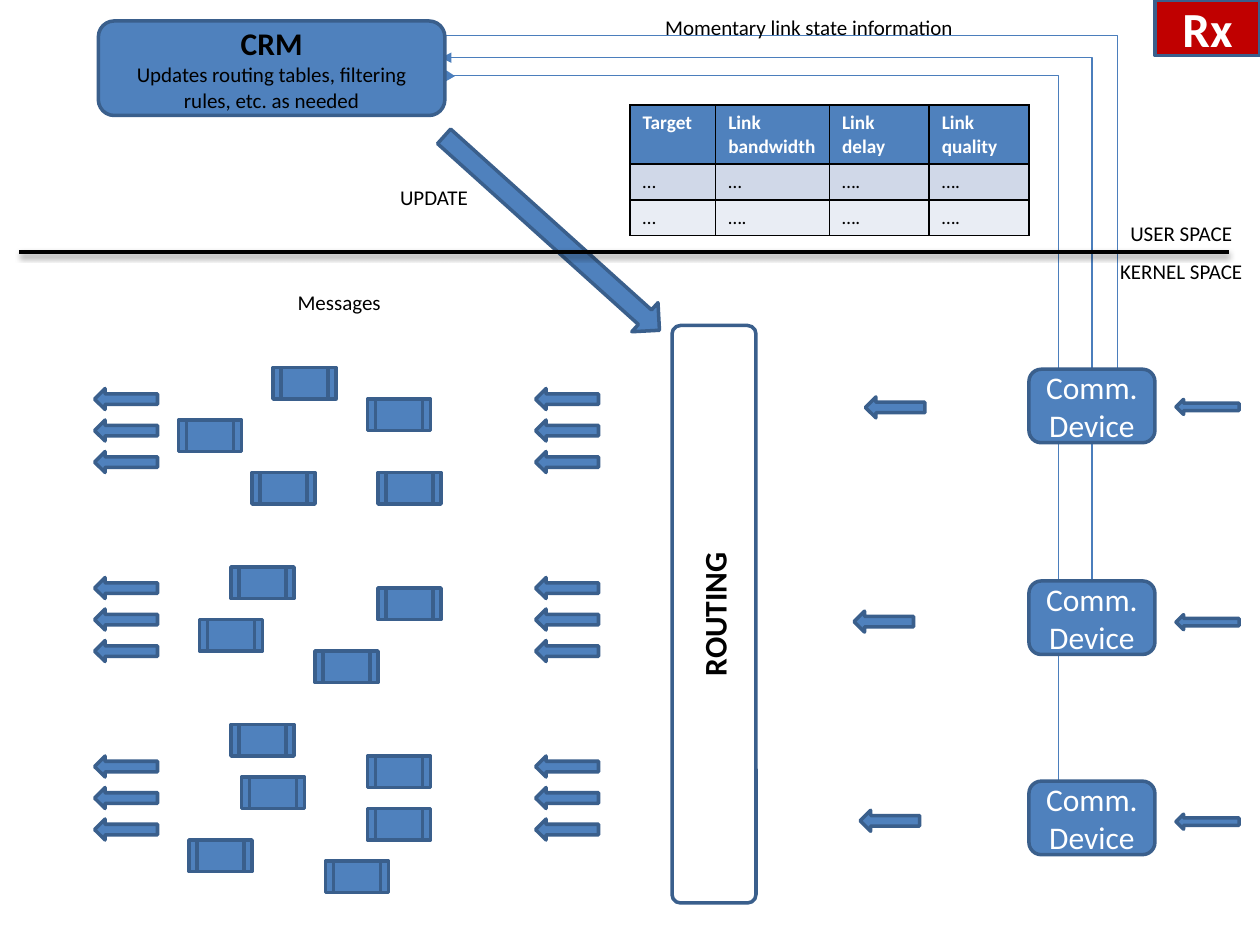
from lxml.etree import SubElement
from pptx import Presentation
from pptx.dml.color import RGBColor
from pptx.enum.shapes import MSO_CONNECTOR as Line, MSO_SHAPE as Shape
from pptx.enum.text import MSO_ANCHOR as Anchor, MSO_AUTO_SIZE as AutoSize, PP_ALIGN as Align
from pptx.oxml.ns import qn
from pptx.util import Pt

COLORS = {
    "blue": "4F81BD", "outline": "3A5F8C", "link": "4B7EBC", "red": "C00000",
    "black": "000000", "white": "FFFFFF", "band_dark": "D0D8E8", "band_light": "E9EDF4",
}
MESSAGES = [
    (156, 210), (210, 228), (144, 270), (102, 240), (216, 270),
    (132, 324), (114, 354), (216, 336), (180, 372),
    (132, 414), (210, 432), (108, 480), (138, 444), (210, 462), (186, 492),
]
# Per channel: device top, incoming arrow top, routed arrow (left, top), first queue arrow top
CHANNELS = [
    (211, 228.2, (494.5, 226.8), 222),
    (332, 351.2, (488, 349.2), 330),
    (446.4, 465.2, (491.5, 463), 432),
]
LINK_STATES = [
    ["Target", "Link bandwidth", "Link delay", "Link quality"],
    ["…", "…", "….", "…."],
    ["…", "….", "….", "…."],
]


def color(name):
    """Look up a named colour."""
    return RGBColor.from_string(COLORS[name])


def write(frame, lines, ink="black", align=Align.CENTER):
    """Fill a text frame with (text, size, bold) paragraphs."""
    frame.word_wrap = True
    for index, (text, size, bold) in enumerate(lines):
        paragraph = frame.add_paragraph() if index else frame.paragraphs[0]
        paragraph.text = text
        paragraph.alignment = align
        font = paragraph.font
        font.name, font.size, font.bold = "Calibri", Pt(size), bold
        font.color.rgb = color(ink)


def add_block(slide, kind, left, top, width, height, lines=(), fill="blue", ink="black"):
    """Add an outlined shape, with optional centred text."""
    block = slide.shapes.add_shape(kind, Pt(left), Pt(top), Pt(width), Pt(height))
    block.shadow.inherit = False
    if fill:
        block.fill.solid()
        block.fill.fore_color.rgb = color(fill)
    else:
        block.fill.background()
    block.line.color.rgb = color("outline")
    block.line.width = Pt(2)
    block.text_frame.vertical_anchor = Anchor.MIDDLE
    write(block.text_frame, lines, ink)
    return block


def add_arrow(slide, left, top, width, height, angle=180):
    """Add a block arrow, pointing left unless told otherwise."""
    add_block(slide, Shape.RIGHT_ARROW, left, top, width, height).rotation = angle


def add_label(slide, left, top, width, text, align=Align.CENTER):
    """Add a small caption."""
    label = slide.shapes.add_textbox(Pt(left), Pt(top), Pt(width), Pt(21.6))
    write(label.text_frame, [(text, 12, False)], align=align)
    label.text_frame.auto_size = AutoSize.SHAPE_TO_FIT_TEXT


def add_line(slide, kind, start, end, ink, weight):
    """Add a connector without the theme shadow; return it with its effect list."""
    line = slide.shapes.add_connector(kind, *map(Pt, start + end))
    line.line.color.rgb = color(ink)
    line.line.width = Pt(weight)
    return line, SubElement(line._element.spPr, qn("a:effectLst"))


def add_link(slide, start, end, preset, bend=None, upright=False):
    """Add an elbow arrow up and left; an upright one leaves its start vertically."""
    (x1, y1), (x2, y2) = start, end
    if upright:
        center_x, center_y = (x1 + x2) / 2, (y1 + y2) / 2
        half_w, half_h = abs(y2 - y1) / 2, abs(x2 - x1) / 2
        start = (center_x - half_w, center_y + half_h)
        end = (center_x + half_w, center_y - half_h)
    link, _ = add_line(slide, Line.ELBOW, start, end, "link", 0.75)
    properties = link._element.spPr
    if upright:
        properties.find(qn("a:xfrm")).set("rot", str(270 * 60000))
    geometry = properties.find(qn("a:prstGeom"))
    geometry.set("prst", preset)
    if bend is not None:
        SubElement(geometry.find(qn("a:avLst")), qn("a:gd"), name="adj1", fmla=f"val {bend}")
    SubElement(properties.find(qn("a:ln")), qn("a:tailEnd"), type="triangle")


def add_divider(slide):
    """Draw the shadowed border between user space and kernel space."""
    _, effects = add_line(slide, Line.STRAIGHT, (11, 144), (702, 144), "black", 2)
    shadow = SubElement(effects, qn("a:outerShdw"), blurRad="40000", dist="20000",
                        dir="5400000", rotWithShape="0")
    tint = SubElement(shadow, qn("a:srgbClr"), val=COLORS["black"])
    SubElement(tint, qn("a:alpha"), val="38000")


def style_cell(cell, text, fill, ink, bold):
    """Write one table cell, with black borders all round."""
    write(cell.text_frame, [(text, 11, bold)], ink, Align.LEFT)
    properties = cell._tc.get_or_add_tcPr()
    for side in ("a:lnL", "a:lnR", "a:lnT", "a:lnB"):
        border = SubElement(properties, qn(side), w=str(Pt(1)))
        paint = SubElement(border, qn("a:solidFill"))
        SubElement(paint, qn("a:srgbClr"), val=COLORS["black"])
    cell.fill.solid()
    cell.fill.fore_color.rgb = color(fill)


def add_link_table(slide):
    """Add the table of link states."""
    table = slide.shapes.add_table(3, 4, Pt(360), Pt(60), Pt(228), Pt(74.6)).table
    for column, width in zip(table.columns, (49, 65, 57, 57)):
        column.width = Pt(width)
    for row, height in zip(table.rows, (33.8, 20.4, 20.4)):
        row.height = Pt(height)
    looks = [("blue", "white", True), ("band_dark", "black", False), ("band_light", "black", False)]
    for row, texts, look in zip(table.rows, LINK_STATES, looks):
        for cell, text in zip(row.cells, texts):
            style_cell(cell, text, *look)


def add_channel(slide, device_top, incoming_top, routed, queue_top):
    """Add a device with its arrows and the two queues beyond routing."""
    add_block(slide, Shape.ROUNDED_RECTANGLE, 588, device_top, 72, 42,
              [("Comm.", 18, False), ("Device", 18, False)], ink="white")
    add_arrow(slide, 672, incoming_top, 36, 8.6)
    add_arrow(slide, *routed, 34, 12)
    for left in (54, 306):
        for step in range(3):
            add_arrow(slide, left, queue_top + 18 * step, 36, 12)


def main():
    """Build the receiver diagram."""
    deck = Presentation()
    deck.slide_width, deck.slide_height = Pt(720), Pt(540)
    slide = deck.slides.add_slide(deck.slide_layouts[6])

    add_link(slide, (638, 211), (244, 20.2), "bentConnector3", bend=-200)
    add_link(slide, (624, 332), (252, 33), "bentConnector2", upright=True)
    add_link(slide, (604.8, 446.4), (254.2, 46.8), "bentConnector3", bend=100900, upright=True)
    add_label(slide, 373, 4.5, 192, "Momentary link state information", Align.LEFT)
    add_link_table(slide)

    add_block(slide, Shape.ROUNDED_RECTANGLE, 56.2, 12, 198, 54, [
        ("CRM", 18, True),
        ("Updates routing tables, filtering rules, etc. as needed", 12, False),
    ])
    routing = add_block(slide, Shape.ROUNDED_RECTANGLE, 384, 186, 48, 330,
                        [("ROUTING", 18, True)], fill=None)
    routing.adjustments[0] = 0.1
    routing.text_frame._txBody.bodyPr.set("vert", "vert270")
    add_arrow(slide, 232.5, 122.2, 165.6, 22.3, angle=42)

    add_divider(slide)
    add_label(slide, 216, 102, 64, "UPDATE")
    add_label(slide, 630, 122.4, 90, "USER SPACE")
    add_label(slide, 630, 144, 90, "KERNEL SPACE")
    add_label(slide, 143.3, 162, 101, "Messages")
    add_block(slide, Shape.RECTANGLE, 660, 0, 60, 31.7, [("Rx", 28, True)], "red", "white")

    for channel in CHANNELS:
        add_channel(slide, *channel)
    for left, top in MESSAGES:
        add_block(slide, Shape.FLOWCHART_PREDEFINED_PROCESS, left, top, 36, 18)
    deck.save("out.pptx")


main()
